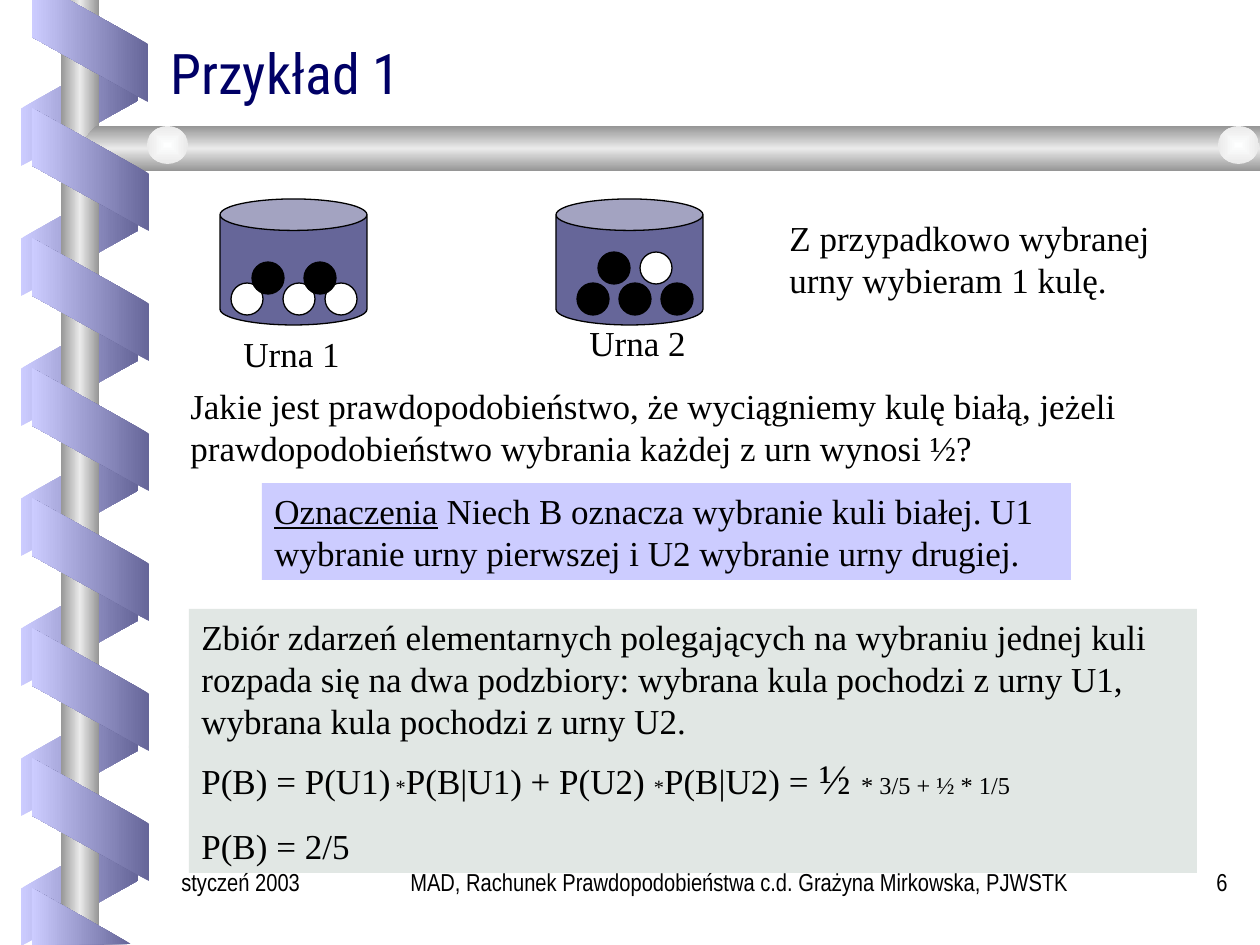
from lxml import etree
from pptx import Presentation
from pptx.dml.color import RGBColor
from pptx.enum.shapes import MSO_SHAPE as Kind
from pptx.enum.text import MSO_ANCHOR as Anchor, PP_ALIGN as Align
from pptx.oxml.ns import qn
from pptx.util import Pt

EMU_PER_PX = 914400 / 126
SERIF, NARROW = "Times New Roman", "Arial Narrow"
LIGHT, DARK, BLACK, WHITE = "CCCCFF", "666699", "000000", "FFFFFF"
METAL = ["969696", "EAEAEA", "969696"]
PEARL = ["FEFFFF", "EAEAEA"]


def px(length):
    return round(length * EMU_PER_PX)


def color(code):
    return RGBColor.from_string(code)


class Board:
    """Holds the text style and the current slide, and draws each kind of element."""

    def __init__(self, page, font, size):
        self.page = page
        self.font = font
        self.size = size

    def paint(self, shape, fill, angle=0, line=None):
        shape.shadow.inherit = False
        if isinstance(fill, str):
            shape.fill.solid()
            shape.fill.fore_color.rgb = color(fill)
        else:
            self.gradient(shape, fill, angle)
        if line:
            shape.line.color.rgb = color(line)
            shape.line.width = Pt(0.75)
        else:
            shape.line.fill.background()
        return shape

    def gradient(self, shape, stops, angle):
        shape.fill.gradient()
        grad = shape._element.spPr.find(qn("a:gradFill"))
        for child in list(grad):
            grad.remove(child)
        grad.set("rotWithShape", "0")
        stop_list = etree.SubElement(grad, qn("a:gsLst"))
        for index, code in enumerate(stops):
            position = str(100000 * index // (len(stops) - 1))
            stop = etree.SubElement(stop_list, qn("a:gs"), pos=position)
            etree.SubElement(stop, qn("a:srgbClr"), val=code)
        if angle is None:
            center = etree.SubElement(grad, qn("a:path"))
            center.set("path", "rect")
            sides = dict.fromkeys("ltrb", "50000")
            etree.SubElement(center, qn("a:fillToRect"), **sides)
        else:
            etree.SubElement(grad, qn("a:lin"), ang=str(angle * 60000), scaled="1")

    def shape(self, kind, x, y, width, height, fill, angle=0, line=None):
        shape = self.page.shapes.add_shape(kind, px(x), px(y), px(width), px(height))
        return self.paint(shape, fill, angle, line)

    def ribbon(self, x, y, stops, rotation, flip=False):
        shape = self.shape(Kind.PARALLELOGRAM, x, y, 123, 117, stops, 180)
        shape.adjustments[0] = 0.56
        shape.rotation = rotation
        if flip:
            shape._element.spPr.find(qn("a:xfrm")).set("flipH", "1")

    def outline(self, points, stops, angle):
        builder = self.page.shapes.build_freeform(*points[0], scale=EMU_PER_PX)
        builder.add_line_segments(points[1:], close=True)
        self.paint(builder.convert_to_shape(), stops, angle)

    def urn(self, x, y, balls):
        self.shape(Kind.CAN, x, y, 147, 126, DARK, line=BLACK)
        for left, top, fill in balls:
            self.shape(Kind.OVAL, left, top, 32, 32, fill, line=BLACK)

    def text(self, x, y, width, height, paragraphs, **style):
        box = self.page.shapes.add_textbox(px(x), px(y), px(width), px(height))
        self.fill_text(box, paragraphs, **style)

    def panel(self, x, y, width, height, fill, paragraphs):
        self.fill_text(self.shape(Kind.RECTANGLE, x, y, width, height, fill), paragraphs)

    def fill_text(self, box, paragraphs, font=None, size=None, ink=BLACK,
                  align=Align.LEFT, anchor=Anchor.TOP, spacing=None):
        frame = box.text_frame
        frame.word_wrap = True
        frame.vertical_anchor = anchor
        for index, spans in enumerate(paragraphs):
            para = frame.add_paragraph() if index else frame.paragraphs[0]
            para.alignment = align
            para.line_spacing = spacing
            if index:
                para.space_before = Pt(12.5)
            for words, extra in spans:
                span = para.add_run()
                span.text = words
                span.font.name = font or self.font
                span.font.size = Pt(extra.get("size", size or self.size))
                span.font.color.rgb = color(ink)
                span.font.underline = extra.get("underline")
                if extra.get("low"):
                    span._r.get_or_add_rPr().set("baseline", "-2000")


def plain(words):
    return [[(words, {})]]


def draw_binding(board):
    for index in range(7):
        board.ribbon(18, 46 + 130 * index, [LIGHT, DARK], 90, flip=True)
    board.shape(Kind.RECTANGLE, 61, 0, 38, 945, METAL, 180)
    board.outline([(1260, 126), (96, 126), (76, 149), (96, 171), (1260, 171)], METAL, 90)
    for x in (147, 1218):
        board.shape(Kind.OVAL, x, 126, 41, 38, PEARL, None)
    for index in range(6):
        board.ribbon(29, 111 + 130 * index, [DARK, LIGHT], 270)
    top_end = [(32, 0), (32, 37), (148, 102), (148, 44), (69, 0)]
    bottom_end = [(131, 944), (32, 888), (32, 945)]
    for points in (top_end, bottom_end):
        board.outline(points, [DARK, LIGHT], 180)


def draw_content(board):
    board.text(158, 32, 1071, 79, plain("Przykład 1"), font="Roboto Condensed",
               size=32, ink="000066", anchor=Anchor.BOTTOM, spacing=0.8)
    board.urn(220, 199, [(231, 283, WHITE), (283, 283, WHITE), (325, 283, WHITE),
                         (252, 262, BLACK), (304, 262, BLACK)])
    board.urn(556, 199, [(577, 283, BLACK), (619, 283, BLACK), (661, 283, BLACK),
                         (598, 252, BLACK), (640, 252, WHITE)])
    board.text(231, 326, 179, 55, plain("Urna 1"))
    board.text(577, 315, 179, 55, plain("Urna 2"))
    board.text(777, 210, 399, 97, plain("Z przypadkowo wybranej urny wybieram 1 kulę."))
    board.text(178, 378, 1008, 97, plain(
        "Jakie jest prawdopodobieństwo, że wyciągniemy kulę białą, jeżeli "
        "prawdopodobieństwo wybrania każdej z urn wynosi ½?"))
    board.panel(262, 483, 809, 97, LIGHT, [[
        ("Oznaczenia", {"underline": True}),
        (" Niech B oznacza wybranie kuli białej. U1 wybranie urny pierwszej "
         "i U2 wybranie urny drugiej.", {})]])
    board.panel(189, 609, 1008, 139, "E1E7E4", plain(
        "Zbiór zdarzeń elementarnych polegających na wybraniu jednej kuli "
        "rozpada się na dwa podzbiory: wybrana kula pochodzi z urny U1, "
        "wybrana kula pochodzi z urny U2."))
    low = {"low": True}
    board.panel(189, 746, 1008, 127, "E1E7E4", [
        [("P(B) = P(U1)", {}), (" *", low), ("P(B|U1) + P(U2) ", {}), ("*", low),
         ("P(B|U2) =", {}), (" ½ ", {"size": 24}),
         ("* 3/5 + ½ * 1/5", {"size": 24, "low": True})],
        [("P(B) = 2/5", {})]])


def draw_footer(board):
    author = "MAD, Rachunek Prawdopodobieństwa c.d. Grażyna Mirkowska, PJWSTK"
    for x, width, words, align in ((325, 829, author, Align.CENTER),
                                   (1134, 106, "6", Align.RIGHT),
                                   (169, 178, "styczeń 2003", Align.LEFT)):
        board.text(x, 861, width, 63, plain(words), font=NARROW, size=14, align=align)


def main():
    deck = Presentation()
    deck.slide_width, deck.slide_height = px(1260), px(945)
    board = Board(deck.slides.add_slide(deck.slide_layouts[6]), SERIF, 20)
    draw_binding(board)
    draw_content(board)
    draw_footer(board)
    deck.save("out.pptx")


if __name__ == "__main__":
    main()
